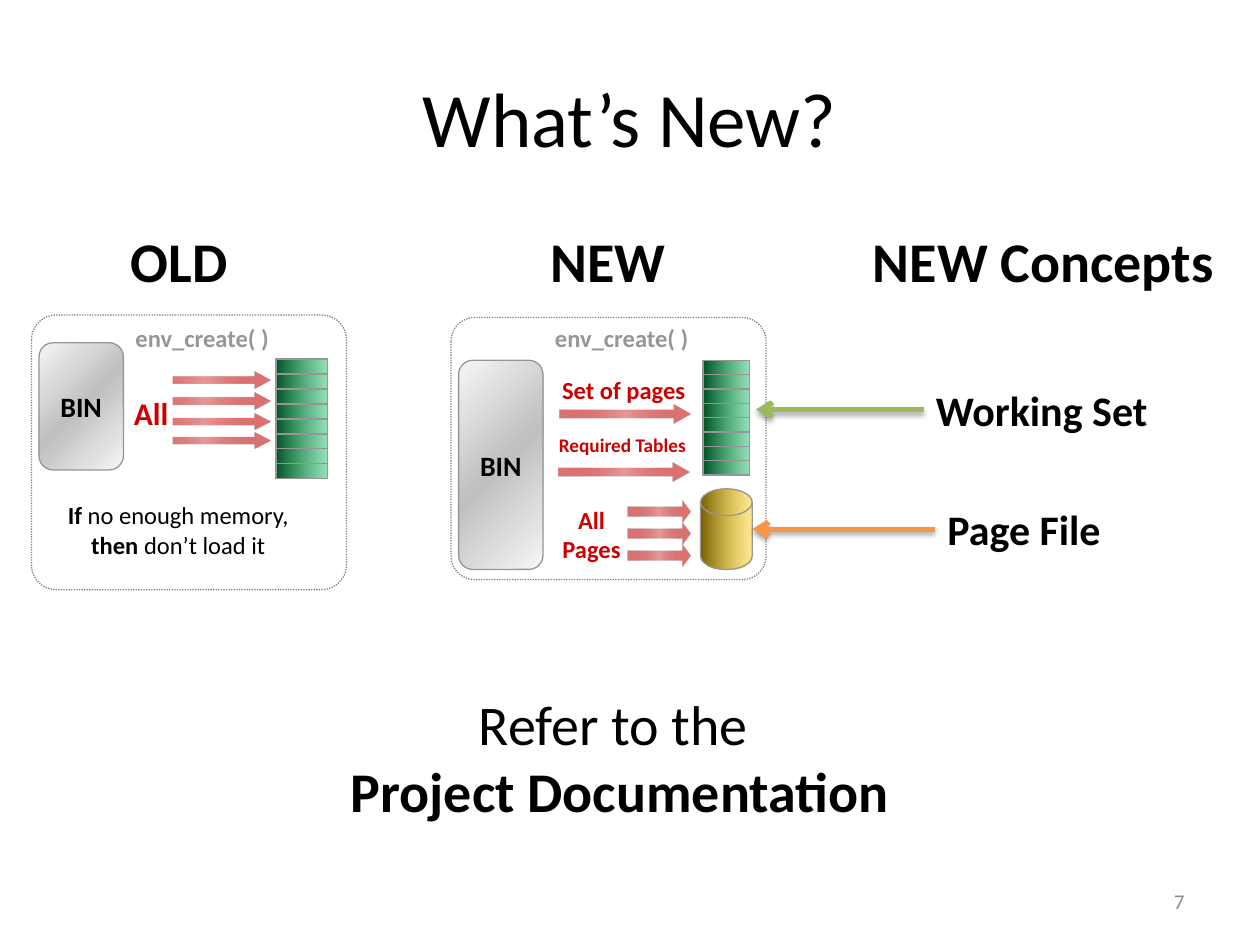
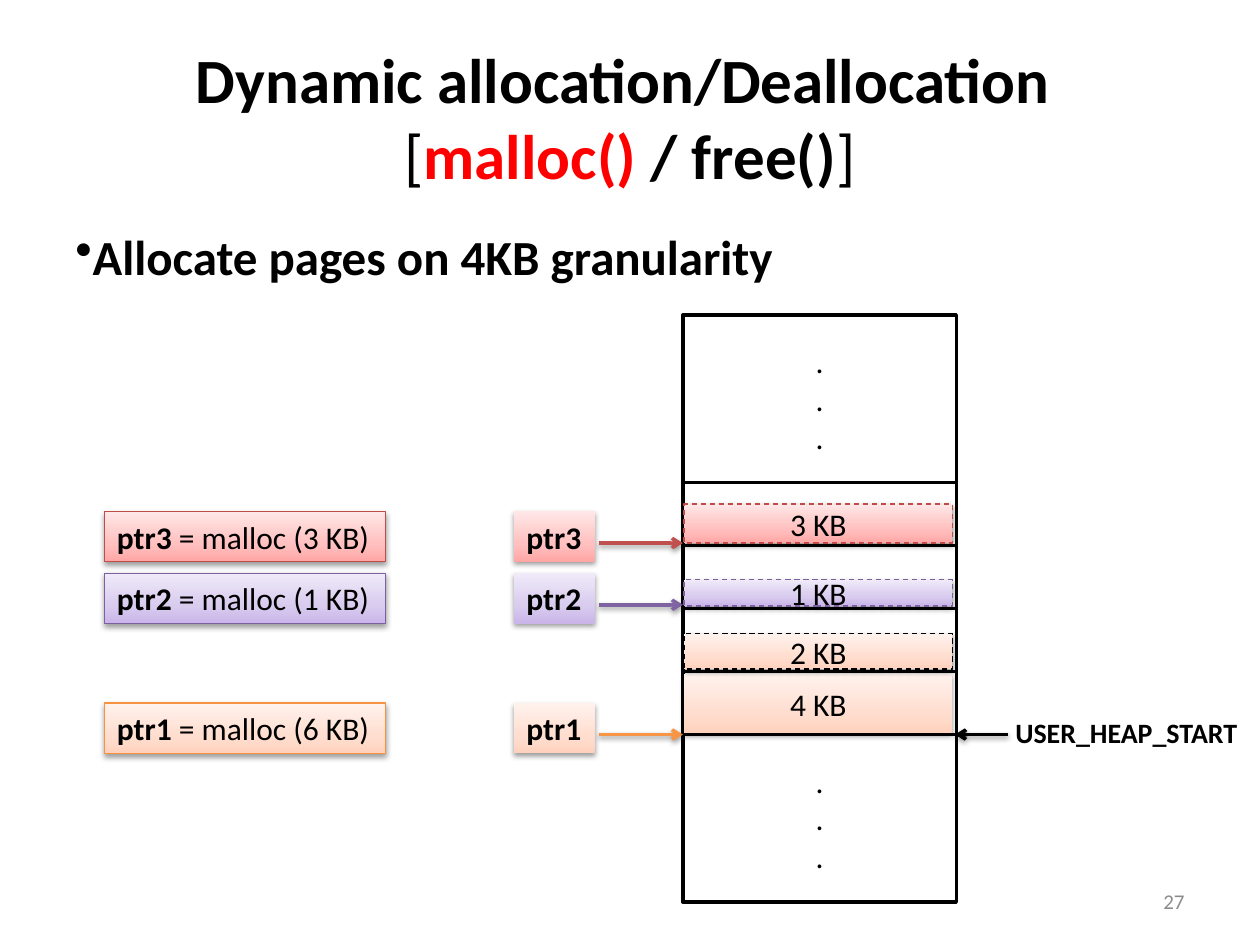
from lxml import etree
from pptx import Presentation, util as u
from pptx.dml.color import RGBColor
from pptx.enum import dml, shapes, text
from pptx.oxml.ns import qn

BLACK = RGBColor(0x00, 0x00, 0x00)
WHITE = RGBColor(0xFF, 0xFF, 0xFF)
RED = RGBColor(0xFF, 0x00, 0x00)
CRIMSON = RGBColor(0xCC, 0x00, 0x00)
EDGE = RGBColor(0x96, 0x96, 0x96)
FRAME = RGBColor(0x80, 0x80, 0x80)
FOOTER = RGBColor(0x8C, 0x8C, 0x8C)
LEAF = RGBColor(0x9B, 0xBB, 0x59)
ORANGE = RGBColor(0xF7, 0x96, 0x46)
ORANGE_EDGE = RGBColor(0xF6, 0x92, 0x40)
PURPLE = RGBColor(0x80, 0x64, 0xA2)
PURPLE_EDGE = RGBColor(0x7D, 0x60, 0xA0)
BRICK = RGBColor(0xC0, 0x50, 0x4D)
BRICK_EDGE = RGBColor(0xBF, 0x4C, 0x48)


def gradient(angle, *stops):
    return angle, [(position, RGBColor.from_string(color), alpha) for position, color, alpha in stops]


def tint(bottom, middle, top):
    return gradient(270, (0, bottom, 100), (35, middle, 100), (100, top, 100))


SILVER = gradient(45, (0, "F6F6F6", 100), (50, "C0C0C0", 100), (100, "F6F6F6", 100))
ROSE = gradient(0, (0, "DD7676", 100), (50, "C00000", 40), (100, "DD7676", 100))
GREEN = gradient(0, (0, "005125", 100), (100, "00B050", 40))
GOLD = gradient(0, (0, "765E00", 100), (100, "FFCC00", 40))
PEACH = tint("FFD2BD", "FFDED0", "FFF2ED")
LILAC = tint("C9B5E8", "D8CBEE", "F0EAF9")
PINK = tint("FFA6A5", "FFC0BF", "FFE7E7")

SHAPE = shapes.MSO_SHAPE
LEFT, CENTER, RIGHT = text.PP_ALIGN.LEFT, text.PP_ALIGN.CENTER, text.PP_ALIGN.RIGHT
TOP, MIDDLE = text.MSO_ANCHOR.TOP, text.MSO_ANCHOR.MIDDLE
DOT, DASH = dml.MSO_LINE.ROUND_DOT, dml.MSO_LINE.DASH


class Painter:
    font = "Calibri"

    def __init__(self):
        self.deck = Presentation()
        self.deck.slide_width, self.deck.slide_height = u.Inches(10), u.Inches(7.5)
        self.page = None

    def start(self, number, title, size):
        self.page = self.deck.slides.add_slide(self.deck.slide_layouts[5])
        box = self.page.shapes.title
        box.left, box.top, box.width, box.height = map(u.Inches, (0.5, 0.3, 9, 1.25))
        self.letter(box, title, size, align=CENTER, anchor=MIDDLE)
        self.label(number, 7.17, 6.95, 2.33, 0.4, 12, FOOTER, align=RIGHT, anchor=MIDDLE)
        return box

    def letter(self, box, content, size, color=BLACK, bold=False, align=LEFT,
               anchor=TOP, wrap=True, inset=None):
        frame = box.text_frame
        frame.word_wrap, frame.vertical_anchor = wrap, anchor
        if inset is not None:
            frame.margin_left = frame.margin_right = u.Inches(inset)
            frame.margin_top = frame.margin_bottom = u.Inches(inset)
        if isinstance(content, str):
            content = [[(content, bold)]]
        for index, spans in enumerate(content):
            para = frame.add_paragraph() if index else frame.paragraphs[0]
            para.alignment = align
            for words, strong in spans:
                if words == "\v":
                    para.add_line_break()
                    etree.SubElement(para._p[-1], qn("a:rPr"), sz=str(size * 100))
                    continue
                span = para.add_run()
                span.text = words
                span.font.name, span.font.size = self.font, u.Pt(size)
                span.font.bold, span.font.color.rgb = strong, color

    def label(self, content, left, top, width, height, size, color=BLACK, **style):
        box = self.page.shapes.add_textbox(*map(u.Inches, (left, top, width, height)))
        self.letter(box, content, size, color, **style)
        return box

    def shape(self, kind, left, top, width, height, fill=None, line=None, weight=0.75,
              dash=None, adjust=(), shadow=None):
        box = self.page.shapes.add_shape(kind, *map(u.Inches, (left, top, width, height)))
        for index, value in enumerate(adjust):
            box.adjustments[index] = value
        box.shadow.inherit = False
        if fill is None:
            box.fill.background()
        elif isinstance(fill, RGBColor):
            box.fill.solid()
            box.fill.fore_color.rgb = fill
        else:
            self.blend(box, *fill)
        if line is None:
            box.line.fill.background()
        else:
            box.line.color.rgb, box.line.width = line, u.Pt(weight)
            if dash:
                box.line.dash_style = dash
        if shadow:
            self.cast(box._element.spPr.find(qn("a:effectLst")), *shadow)
        return box

    def blend(self, box, angle, stops):
        box.fill.gradient()
        grad = box._element.spPr.find(qn("a:gradFill"))
        grad.find(qn("a:lin")).set("ang", str(angle * 60000))
        ramp = grad.find(qn("a:gsLst"))
        for stop in list(ramp):
            ramp.remove(stop)
        for position, color, alpha in stops:
            stop = etree.SubElement(ramp, qn("a:gs"), pos=str(position * 1000))
            self.tone(stop, color, alpha)

    def tone(self, parent, color, alpha):
        tone = etree.SubElement(parent, qn("a:srgbClr"), val=str(color))
        if alpha < 100:
            etree.SubElement(tone, qn("a:alpha"), val=str(alpha * 1000))

    def cast(self, effects, alpha, distance):
        shade = etree.SubElement(effects, qn("a:outerShdw"), blurRad=str(u.Pt(3.1)),
                                 dist=str(u.Pt(distance)), dir="5400000", rotWithShape="0")
        self.tone(shade, BLACK, alpha)

    def pointer(self, start, end, y, color, weight, shadow):
        line = self.page.shapes.add_connector(
            shapes.MSO_CONNECTOR.STRAIGHT, *map(u.Inches, (start, y, end, y)))
        line.line.color.rgb, line.line.width = color, u.Pt(weight)
        properties = line._element.spPr
        etree.SubElement(properties.find(qn("a:ln")), qn("a:tailEnd"), type="arrow")
        self.cast(etree.SubElement(properties, qn("a:effectLst")), *shadow)

    def block_arrow(self, left, top, width, height, tip):
        self.shape(SHAPE.RIGHT_ARROW, left, top, width, height, ROSE, adjust=(0.433, tip))

    def memory(self, left, top, width, height, rows=8):
        step = height / rows
        for row in range(rows):
            self.shape(SHAPE.RECTANGLE, left, top + row * step, width, step, GREEN, EDGE)

    def environment(self, left, top, height, bin_top, bin_height, caption_left):
        self.shape(SHAPE.ROUNDED_RECTANGLE, left, top, 2.5, height, line=FRAME, dash=DOT,
                   adjust=(0.09,))
        box = self.shape(SHAPE.ROUNDED_RECTANGLE, left + 0.06, bin_top, 0.67, bin_height,
                         SILVER, EDGE, adjust=(0.167,))
        self.letter(box, "BIN", 16, bold=True, align=CENTER, anchor=MIDDLE, inset=0)
        self.label("env_create( )", caption_left, 2.56, 1.23, 0.25, 14, EDGE, bold=True,
                   align=CENTER, inset=0)

    def patch(self, words, left, top, width, height, size):
        box = self.shape(SHAPE.RECTANGLE, left, top, width, height, WHITE)
        self.letter(box, words, size, CRIMSON, bold=True, align=CENTER, anchor=MIDDLE, inset=0)


painter = Painter()

painter.start("7", "What’s New?", 44)
for heading, left, width in (("OLD", 0.94, 0.98), ("NEW", 4.27, 1.12), ("NEW Concepts", 6.83, 2.93)):
    painter.label(heading, left, 1.75, width, 0.64, 32, bold=True, wrap=False)

painter.environment(0.25, 2.5, 2.18, 2.72, 1.01, 0.99)
for top in (2.95, 3.12, 3.28, 3.43):
    painter.block_arrow(1.1, top, 1.05, 0.13, 1)
painter.patch("All", 1.03, 2.92, 0.34, 0.72, 18)
painter.label([[("If", True), (" no enough memory, ", False),
                ("then", True), (" don’t load it", False)]],
              0.39, 3.97, 2.05, 0.51, 14, align=CENTER, inset=0)
painter.memory(2.19, 2.85, 0.41, 0.95)

painter.shape(SHAPE.FLOWCHART_MAGNETIC_DISK, 5.56, 3.88, 0.41, 0.64, GOLD, EDGE)
painter.environment(3.58, 2.52, 2.08, 2.86, 1.66, 4.32)
for words, left, top, size in (("Set of pages", 4.43, 2.98, 14), ("Required Tables", 4.42, 3.44, 11)):
    painter.label(words, left, top, 1.04, 0.24, size, CRIMSON, bold=True, align=CENTER, inset=0)
    painter.block_arrow(left + 0.01, top + 0.23, 1.04, 0.15, 0.91)
for row in range(3):
    painter.block_arrow(4.98, 3.97 + row * 0.175, 0.5, 0.18, 0.37)
painter.patch("All Pages", 4.41, 3.96, 0.57, 0.56, 14)
painter.memory(5.58, 2.86, 0.37, 0.91)

for concept, left, top, width, tip, color in (
        ("Page File", 7.42, 3.95, 1.43, 5.97, ORANGE),
        ("Working Set", 7.33, 3, 1.9, 6, LEAF)):
    painter.label(concept, left, top, width, 0.5, 24, bold=True, wrap=False)
    painter.pointer(left, tip, top + 0.25, color, 3, (35, 1.8))
painter.label([[("Refer to the ", False)], [("Project Documentation", True)]],
              2.42, 5.42, 5, 1.18, 32, align=CENTER)

title = painter.start("27", [[("Dynamic allocation/Deallocation ", True), ("\v", True), ("[", False),
                              ("malloc() ", True), ("/ free()", True), ("]", False)]], 36)
title.text_frame.paragraphs[0].runs[2].font.color.rgb = RED
body = painter.label("Allocate pages on 4KB granularity", 0.5, 1.75, 9, 4.95, 28, bold=True)
body.text_frame.paragraphs[0].space_before = u.Pt(5.6)
bullet = etree.SubElement(body.text_frame.paragraphs[0]._p.get_or_add_pPr(), qn("a:buChar"))
bullet.set("char", "•")

SOFT = (38, 1.6)
for top in (3.83, 4.33, 4.83, 5.33):
    painter.shape(SHAPE.RECTANGLE, 5.42, top, 2.17, 0.5, WHITE, BLACK, 2)
for top in (2.5, 5.83):
    cell = painter.shape(SHAPE.RECTANGLE, 5.42, top, 2.17, 1.33, WHITE, BLACK, 2)
    painter.letter(cell, [[(".", False)]] * 3, 18, align=CENTER, anchor=MIDDLE)
painter.pointer(8, 7.58, 5.83, BLACK, 2, SOFT)
painter.label("USER_HEAP_START", 7.96, 5.63, 1.99, 0.37, 16, bold=True, wrap=False)

for name, size, fill, color, edge, top, arrow, blocks in (
        ("ptr1", 6, PEACH, ORANGE, ORANGE_EDGE, 5.58, 5.83,
         ((4, 5.35, 0.47, None), (2, 5.03, 0.28, BLACK))),
        ("ptr2", 1, LILAC, PURPLE, PURPLE_EDGE, 4.55, 4.8, ((1, 4.6, 0.21, PURPLE_EDGE),)),
        ("ptr3", 3, PINK, BRICK, BRICK_EDGE, 4.06, 4.31, ((3, 4, 0.31, BRICK_EDGE),))):
    painter.pointer(4.75, 5.42, arrow, color, 2, SOFT)
    for amount, block_top, height, outline in blocks:
        block = painter.shape(SHAPE.RECTANGLE, 5.43, block_top, 2.13, height, fill, outline,
                              dash=DASH, shadow=SOFT)
        painter.letter(block, f"{amount} KB", 18, align=CENTER, anchor=MIDDLE)
    call = painter.shape(SHAPE.RECTANGLE, 0.83, top, 2.23, 0.4, fill, edge, shadow=SOFT)
    painter.letter(call, [[(name, True), (f" = malloc ({size} KB)", False)]], 18, wrap=False)
    tag = painter.shape(SHAPE.RECTANGLE, 4.08, top, 0.64, 0.4, fill, shadow=SOFT)
    painter.letter(tag, name, 18, bold=True, wrap=False)

painter.deck.save("out.pptx")
